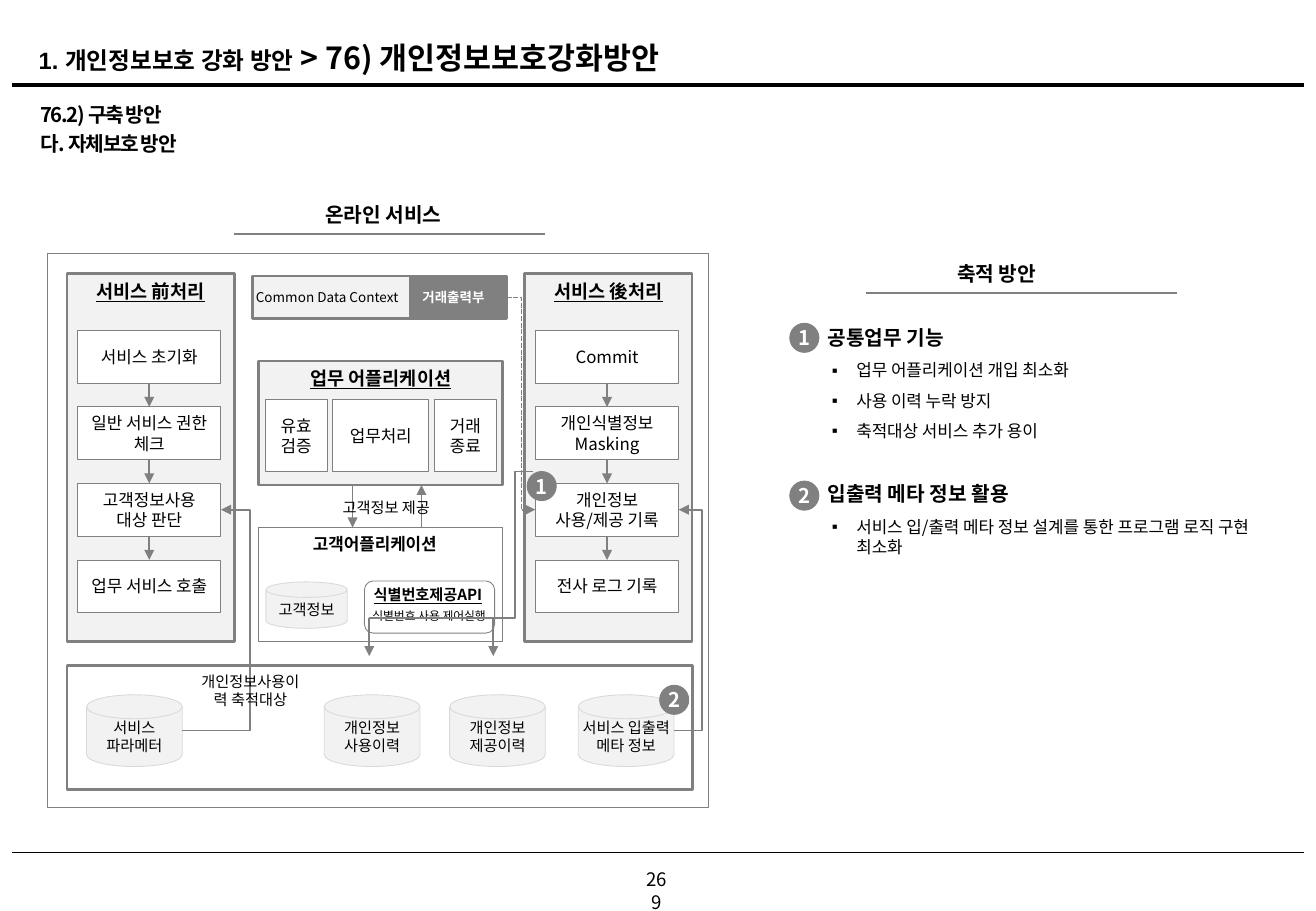
from dataclasses import dataclass

from lxml.etree import SubElement
from pptx import Presentation
from pptx.dml.color import RGBColor
from pptx.enum.dml import MSO_LINE
from pptx.enum.shapes import MSO_CONNECTOR, MSO_SHAPE
from pptx.enum.text import MSO_ANCHOR, MSO_AUTO_SIZE, PP_ALIGN
from pptx.oxml.ns import qn
from pptx.util import Cm, Pt

FONT = "Noto Sans CJK KR"
COLORS = {"black": "000000", "white": "FFFFFF", "gray": "808080",
          "panel": "F2F2F2", "disk_edge": "D9D9D9"}


@dataclass
class Box:
    left: float
    top: float
    width: float
    height: float

    def at(self, dx, dy, width, height):
        return Box(self.left + dx, self.top + dy, width, height)

    def cm(self):
        return [Cm(value) for value in (self.left, self.top, self.width, self.height)]


def color(name):
    return RGBColor.from_string(COLORS[name])


def style_run(run, size, bold=False, ink="black", underline=False, font=FONT, spacing=0):
    run.font.size = Pt(size)
    run.font.bold = bold
    run.font.underline = underline
    run.font.color.rgb = color(ink)
    run.font.name = font
    properties = run._r.get_or_add_rPr()
    SubElement(properties, qn("a:ea")).set("typeface", font)
    if spacing:
        properties.set("spc", str(spacing))


def write(shape, text, size, align=PP_ALIGN.CENTER, anchor=MSO_ANCHOR.MIDDLE,
          insets=(0.25, 0.13, 0.25, 0.13), gap=0, **style):
    frame = shape.text_frame
    frame.text = text
    frame.word_wrap = True
    frame.vertical_anchor = anchor
    frame.margin_left, frame.margin_top, frame.margin_right, frame.margin_bottom = map(Cm, insets)
    for index, paragraph in enumerate(frame.paragraphs):
        paragraph.alignment = align
        if index and gap:
            paragraph.space_before = Pt(gap)
        for run in paragraph.runs:
            style_run(run, size, **style)


def add_label(slide, box, text, size, anchor=MSO_ANCHOR.TOP, **options):
    write(slide.shapes.add_textbox(*box.cm()), text, size, anchor=anchor, **options)


def add_block(slide, box, fill=None, edge="gray", weight=0.5, kind=MSO_SHAPE.RECTANGLE):
    block = slide.shapes.add_shape(kind, *box.cm())
    block.shadow.inherit = False
    if fill:
        block.fill.solid()
        block.fill.fore_color.rgb = color(fill)
    else:
        block.fill.background()
    block.line.color.rgb = color(edge)
    block.line.width = Pt(weight)
    return block


def add_disk(slide, box, text):
    disk = add_block(slide, box, "panel", "disk_edge", kind=MSO_SHAPE.FLOWCHART_MAGNETIC_DISK)
    write(disk, text, 9, insets=(0, 0, 0, 0))


def add_badge(slide, box, number):
    badge = add_block(slide, box.at(0, 0, 0.61, 0.61), "gray", kind=MSO_SHAPE.OVAL)
    write(badge, number, 12, insets=(0, 0, 0, 0), bold=True, ink="white")


def add_link(slide, start, end, weight=1, ink="gray", arrow=False, via=None, dashed=False):
    kind = MSO_CONNECTOR.STRAIGHT if via is None else MSO_CONNECTOR.ELBOW
    link = slide.shapes.add_connector(kind, *map(Cm, start + end))
    link.line.color.rgb = color(ink)
    link.line.width = Pt(weight)
    if dashed:
        link.line.dash_style = MSO_LINE.SQUARE_DOT
    properties = link._element.spPr
    if via is not None:
        bend = round(100000 * (via - start[0]) / (end[0] - start[0]))
        guide = SubElement(properties.find(".//" + qn("a:avLst")), qn("a:gd"))
        guide.set("name", "adj1")
        guide.set("fmla", f"val {bend}")
    if arrow:
        SubElement(properties.find(qn("a:ln")), qn("a:tailEnd")).set("type", "triangle")
    SubElement(properties, qn("a:effectLst"))
    return link


def add_page_frame(slide, box):
    right = box.left + box.width
    for y, weight in ((1.78, 2.75), (17.83, 0.75)):
        add_link(slide, (box.left, y), (right, y), weight, "black")
    add_label(slide, box.at(12.98, 18.03, 0.99, 0.74), "269", 11)

    title = slide.shapes.title
    title.left, title.top, title.width, title.height = box.at(0.31, 0.53, 26.39, 0.99).cm()
    write(title, "1. ", 14, PP_ALIGN.LEFT, MSO_ANCHOR.TOP, bold=True, font="Arial")
    title.text_frame.auto_size = MSO_AUTO_SIZE.NONE
    heading = title.text_frame.paragraphs[0]
    heading.line_spacing = 1.2
    for text, size in (("개인정보보호 강화 방안", 14), (" > 76) 개인정보보호강화방안", 18)):
        run = heading.add_run()
        run.text = text
        style_run(run, size, bold=True)
    add_label(slide, box.at(0.49, 2.01, 26.39, 1.73), "76.2) 구축 방안\n다. 자체보호 방안", 12,
              align=PP_ALIGN.LEFT, insets=(0.1, 0.13, 0.1, 0.13), gap=2.9, bold=True, spacing=-80)


def add_section_heading(slide, box, text):
    bottom = box.top + box.height
    add_link(slide, (box.left, bottom), (box.left + box.width, bottom))
    add_label(slide, box.at(1.65, 0, 4, 0.76), text, 12, align=PP_ALIGN.LEFT, bold=True)


def add_process_panel(slide, box, heading, steps):
    add_block(slide, box, "panel", weight=1.5)
    add_label(slide, box.at(0, 0, box.width, 0.74), heading, 11, bold=True, underline=True)
    previous = None
    for index, text in enumerate(steps):
        step = add_block(slide, box.at(0.22, 1.19 + 1.6 * index, 3, 1.1), "white")
        write(step, text, 10)
        if previous:
            arrow = add_link(slide, (0, 0), (1, 1), arrow=True)
            arrow.begin_connect(previous, 2)
            arrow.end_connect(step, 0)
        previous = step


def add_business_panel(slide, box):
    add_block(slide, box, "panel", weight=1.5)
    add_label(slide, box.at(0, 0, box.width, 0.74), "업무 어플리케이션", 11, bold=True, underline=True)
    dx = 0.13
    for text, width in (("유효검증", 1.3), ("업무처리", 2), ("거래종료", 1.3)):
        write(add_block(slide, box.at(dx, 0.81, width, 1.5), "white"), text, 10)
        dx += width + 0.12


def add_customer_panel(slide, box):
    write(add_block(slide, box), "고객어플리케이션", 10, anchor=MSO_ANCHOR.TOP,
          insets=(0, 0.13, 0.25, 0.13), bold=True)
    add_disk(slide, box.at(0.15, 1.14, 1.7, 0.97), "고객정보")
    add_block(slide, box.at(2.21, 1.12, 2.72, 1.09), kind=MSO_SHAPE.ROUNDED_RECTANGLE)
    add_label(slide, box.at(2.06, 1.09, 2.95, 0.64), "식별번호제공API", 9, bold=True, underline=True)
    add_label(slide, box.at(1.96, 1.57, 3.2, 0.56), "식별번호 사용 제어실행", 7)


def add_context_bar(slide, box):
    context = add_block(slide, box, "panel", weight=1.5)
    write(context, "Common Data Context", 8, PP_ALIGN.LEFT, insets=(0.07, 0.13, 0.25, 0.13))
    output = add_block(slide, box.at(3.3, 0, 2.01, box.height), "gray", weight=1.5)
    write(output, "거래출력부", 8, PP_ALIGN.LEFT, bold=True, ink="white")


def add_data_store(slide, box):
    add_block(slide, box, weight=1.5)
    for dx, text in ((0.41, "서비스\n파라메터"), (5.38, "개인정보\n사용이력"),
                     (8, "개인정보\n제공이력"), (10.69, "서비스 입출력\n메타 정보")):
        add_disk(slide, box.at(dx, 0.61, 2, 1.5), text)


def add_service_diagram(slide, box):
    def link(start, end, via=None, **options):
        start, end = ((box.left + x, box.top + y) for x, y in (start, end))
        add_link(slide, start, end, via=None if via is None else box.left + via, **options)

    add_block(slide, box)
    add_process_panel(slide, box.at(0.41, 0.41, 3.5, 7.7), "서비스 前처리",
                      ["서비스 초기화", "일반 서비스 권한 체크", "고객정보사용 대상 판단", "업무 서비스 호출"])
    add_process_panel(slide, box.at(9.98, 0.41, 3.5, 7.7), "서비스 後처리",
                      ["Commit", "개인식별정보\nMasking", "개인정보\n사용/제공 기록", "전사 로그 기록"])
    add_business_panel(slide, box.at(4.42, 2.24, 5.1, 2.59))
    add_customer_panel(slide, box.at(4.42, 5.72, 5.1, 2.39))
    add_context_bar(slide, box.at(4.29, 0.46, 5.11, 0.89))
    add_data_store(slide, box.at(0.41, 8.61, 13.08, 2.59))
    link((6.38, 4.83), (6.38, 5.72), arrow=True)
    link((7.82, 5.72), (7.82, 4.83), arrow=True)
    add_label(slide, box.at(5.41, 4.98, 3.35, 0.64), "고객정보 제공", 9)
    link((9.6, 0.91), (10.2, 5.35), via=9.91, arrow=True, dashed=True)
    link((2.82, 9.97), (3.63, 5.35), via=4.24, arrow=True)
    link((13.1, 9.97), (13.2, 5.35), via=13.69, arrow=True)
    link((10.16, 4.55), (6.73, 7.62), via=9.78)
    for x in (6.73, 9.32):
        link((x, 7.62), (x, 8.41), arrow=True)
    add_badge(slide, box.at(10.03, 4.55, 0, 0), "1")
    add_badge(slide, box.at(12.8, 9.02, 0, 0), "2")
    add_label(slide, box.at(2.9, 8.61, 2.69, 1.02), "개인정보사용이력 축적대상", 9)


def add_accumulation_list(slide, box):
    topics = slide.placeholders[1]
    topics.left, topics.top, topics.width, topics.height = box.cm()
    entries = [(0, "공통업무 기능"), (1, "업무 어플리케이션 개입 최소화"), (1, "사용 이력 누락 방지"),
               (1, "축적대상 서비스 추가 용이"), (0, "입출력 메타 정보 활용"),
               (1, "서비스 입/출력 메타 정보 설계를 통한 프로그램 로직 구현 최소화")]
    write(topics, "\n".join(text for _, text in entries), 10, PP_ALIGN.LEFT, MSO_ANCHOR.TOP)
    topics.text_frame.auto_size = MSO_AUTO_SIZE.NONE
    for index, (paragraph, (level, _)) in enumerate(zip(topics.text_frame.paragraphs, entries)):
        paragraph.level = level
        paragraph.space_before = Pt(0 if index == 0 else 6 if level else 24)
        properties = paragraph._p.get_or_add_pPr()
        properties.set("marL", str(Cm(1.24 if level else 0.64)))
        properties.set("indent", str(Cm(-0.51 if level else 0)))
        if level:
            SubElement(properties, qn("a:buChar")).set("char", "▪")
        else:
            SubElement(properties, qn("a:buNone"))
            paragraph.runs[0].font.size = Pt(12)
            paragraph.runs[0].font.bold = True
    for number, dy in (("1", 0.08), ("2", 3.38)):
        add_badge(slide, box.at(0.1, dy, 0, 0), number)


def main():
    deck = Presentation()
    deck.slide_width, deck.slide_height = Cm(27.51), Cm(19.05)
    slide = deck.slides.add_slide(deck.slide_layouts[1])
    add_page_frame(slide, Box(0.25, 0, 27, 19.05))
    add_section_heading(slide, Box(4.9, 4.11, 6.5, 0.79), "온라인 서비스")
    add_service_diagram(slide, Box(0.99, 5.31, 13.82, 11.58))
    add_section_heading(slide, Box(18.11, 5.33, 6.5, 0.79), "축적 방안")
    add_accumulation_list(slide, Box(16.41, 6.68, 10.19, 5.87))
    deck.save("out.pptx")


if __name__ == "__main__":
    main()
